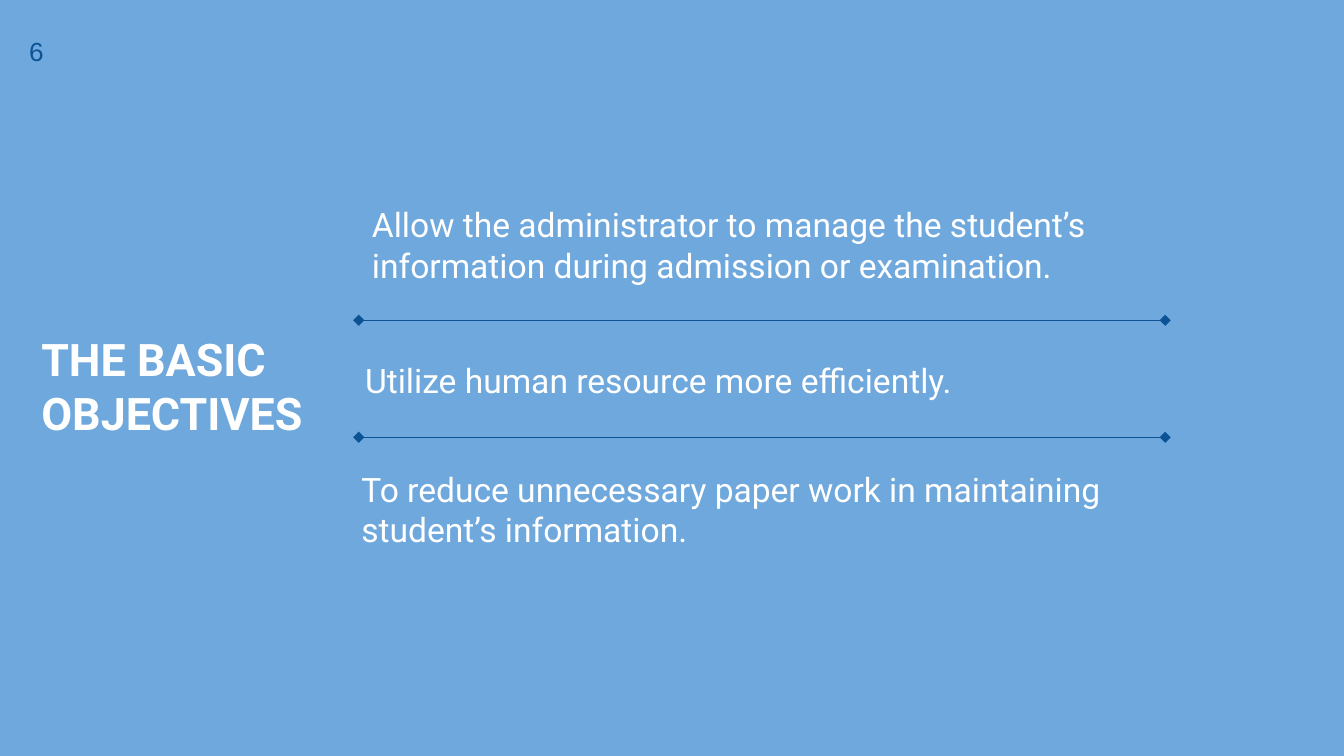
from dataclasses import dataclass

from lxml import etree
from pptx import Presentation
from pptx.dml.color import RGBColor
from pptx.enum.shapes import MSO_CONNECTOR
from pptx.enum.text import MSO_ANCHOR, MSO_AUTO_SIZE, PP_ALIGN
from pptx.oxml.ns import qn
from pptx.util import Cm, Pt

STRAIGHT = MSO_CONNECTOR.STRAIGHT
TOP = MSO_ANCHOR.TOP
NO_FIT = MSO_AUTO_SIZE.NONE
LEFT = PP_ALIGN.LEFT


@dataclass(frozen=True)
class Style:
    font: str
    size: float
    color: RGBColor
    bold: bool = False


@dataclass(frozen=True)
class Theme:
    background: RGBColor = RGBColor(0x6F, 0xA8, 0xDC)
    accent: RGBColor = RGBColor(0x0B, 0x53, 0x94)
    white: RGBColor = RGBColor(0xFF, 0xFF, 0xFF)
    title: Style = Style("Roboto", 24, white, True)
    body: Style = Style("Roboto", 18, white)
    number: Style = Style("Arial", 14, accent)
    inset: float = 0.25
    rule_width: float = 0.75


@dataclass(frozen=True)
class Objective:
    text: str
    left: float
    top: float
    height: float
    indent: float = 0


THEME = Theme()
OBJECTIVE_WIDTH = 16.43
RULE_LEFT, RULE_RIGHT = 6.78, 22.02
RULE_TOPS = (6.05, 8.26)
OBJECTIVES = (
    Objective("Allow the administrator to manage the student’s information "
              "during admission or examination.", 6.78, 3.61, 1.96),
    Objective("Utilize human resource more efficiently.", 6.05, 6.55, 1.3, 0.6),
    Objective("To reduce unnecessary paper work in maintaining "
              "student’s information.", 6.58, 8.61, 2.08),
)


def set_text(sp, text: str, style: Style, indent: float = 0) -> None:
    """Fill a text shape with left-aligned text in one style."""
    tf = sp.text_frame
    tf.text = text
    tf.word_wrap = True
    tf.auto_size = NO_FIT
    tf.vertical_anchor = TOP
    tf.margin_left = Cm(THEME.inset + indent)
    tf.margin_right = tf.margin_top = tf.margin_bottom = Cm(THEME.inset)
    for p in tf.paragraphs:
        p.alignment = LEFT
        p.line_spacing = 1.0
        p.space_before = Pt(0)
        for r in p.runs:
            r.font.name = style.font
            r.font.size = Pt(style.size)
            r.font.bold = style.bold
            r.font.color.rgb = style.color


def add_objective(s, item: Objective) -> None:
    sp = s.shapes.add_textbox(Cm(item.left), Cm(item.top),
                              Cm(OBJECTIVE_WIDTH), Cm(item.height))
    set_text(sp, item.text, THEME.body, item.indent)


def add_rule(s, top: float) -> None:
    """Draw a horizontal divider with a diamond at each end."""
    rule = s.shapes.add_connector(STRAIGHT, Cm(RULE_LEFT), Cm(top),
                                  Cm(RULE_RIGHT), Cm(top))
    rule.line.color.rgb = THEME.accent
    rule.line.width = Pt(THEME.rule_width)
    ln = rule.line._get_or_add_ln()
    for end in ("a:headEnd", "a:tailEnd"):
        etree.SubElement(ln, qn(end), type="diamond")
    etree.SubElement(rule._element.spPr, qn("a:effectLst"))


def main() -> None:
    prs = Presentation()
    prs.slide_width, prs.slide_height = Cm(25.4), Cm(14.28)
    s = prs.slides.add_slide(prs.slide_layouts[5])
    s.background.fill.solid()
    s.background.fill.fore_color.rgb = THEME.background

    # Title
    title = s.shapes.title
    title.left, title.top = Cm(0.53), Cm(6.02)
    title.width, title.height = Cm(5.49), Cm(2.67)
    set_text(title, "THE BASIC\nOBJECTIVES", THEME.title)

    # Slide number
    number = s.shapes.add_textbox(Cm(0.3), Cm(0.41), Cm(5.03), Cm(3.48))
    set_text(number, "6", THEME.number)

    # Objectives and the dividers between them
    for item in OBJECTIVES:
        add_objective(s, item)
    for top in RULE_TOPS:
        add_rule(s, top)

    prs.save("out.pptx")


if __name__ == "__main__":
    main()
